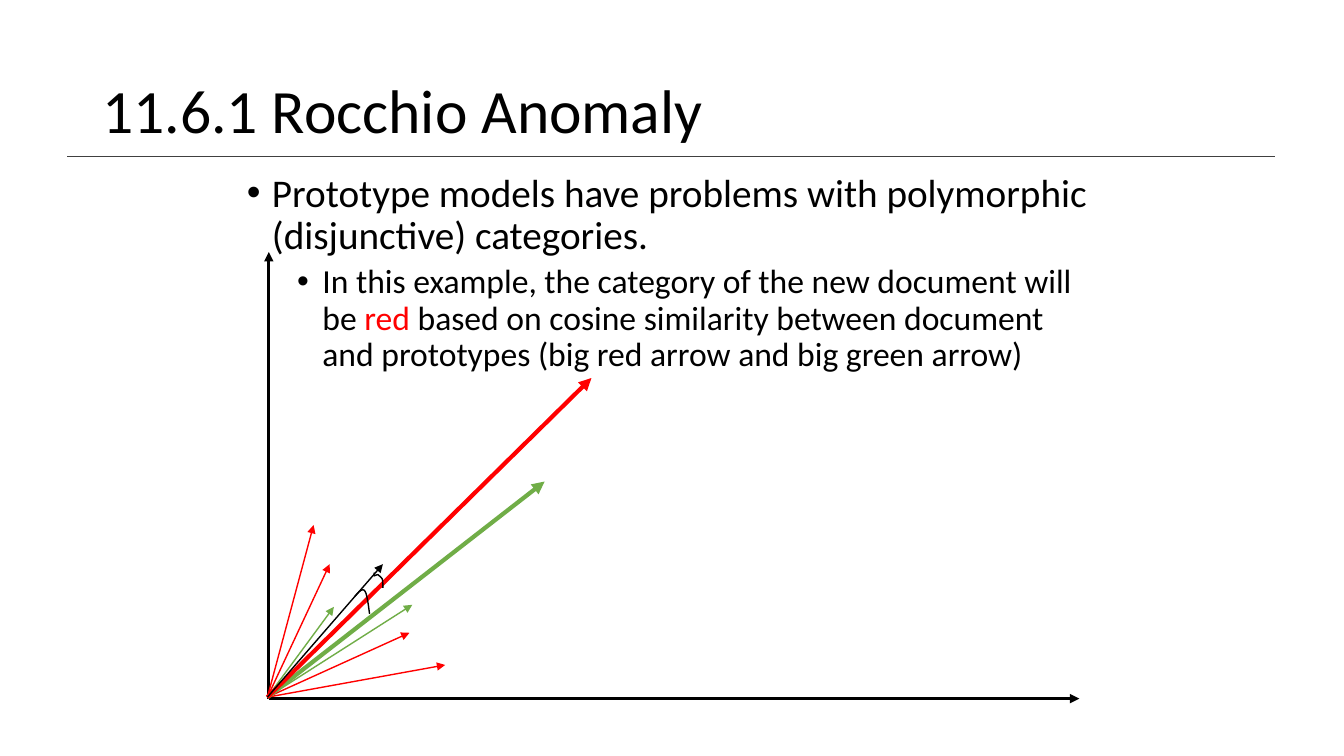
from lxml import etree
from pptx import Presentation
from pptx.dml.color import RGBColor
from pptx.enum.shapes import MSO_CONNECTOR
from pptx.enum.text import MSO_ANCHOR
from pptx.oxml.ns import qn
from pptx.util import Pt

COLORS = {"black": "000000", "red": "FF0000", "green": "70AD47", "rule": "404040"}
FONT = "Calibri"

# Tips are offsets in points from the origin of the diagram.
VECTORS = [
    ("red", 1, (33, -123)),
    ("red", 1, (44.5, -95)),
    ("green", 1, (47.5, -64.5)),
    ("green", 1, (103.5, -66)),
    ("red", 1, (101.5, -46)),
    ("red", 1, (127, -23)),
    ("green", 3, (198, -154)),
    ("red", 3, (231.5, -228)),
]
NEW_DOCUMENT = (82.5, -95)

# Each angle mark: a start, then cubic segments of two controls and an end.
ANGLE_MARKS = [
    ((62.5, -72), [((65.5, -75.5), (68, -78), (69.5, -76)),
                   ((71, -74.5), (72, -67.5), (73, -59.5))]),
    ((76.5, -89), [((76.5, -89), (76, -87), (76, -87)),
                   ((76, -86), (77.5, -87.5), (79, -87.5)),
                   ((79.5, -87), (81, -86), (82, -84.5)),
                   ((82.5, -83.5), (82.5, -81), (82.5, -78))]),
]

BULLETS = [
    dict(size=28, indent=18, before=10,
         runs=[("Prototype models have problems with polymorphic (disjunctive) categories.", "black")]),
    dict(size=24, indent=54, before=5,
         runs=[("In this example, the category of the new document will be ", "black"),
               ("red", "red"),
               (" based on cosine similarity between document and prototypes "
                "(big red arrow and big green arrow)", "black")]),
]


def rgb(name):
    return RGBColor.from_string(COLORS[name])


def add_line(slide, start, end, color, width, arrow=False):
    line = slide.shapes.add_connector(MSO_CONNECTOR.STRAIGHT, *map(Pt, (*start, *end)))
    line.line.color.rgb = rgb(color)
    line.line.width = Pt(width)
    if arrow:
        etree.SubElement(line.line._get_or_add_ln(), qn("a:tailEnd"), type="triangle")
    etree.SubElement(line._element.spPr, qn("a:effectLst"))


def add_text_frame(slide, box, anchor):
    frame = slide.shapes.add_textbox(*map(Pt, box)).text_frame
    frame.word_wrap = True
    frame.vertical_anchor = anchor
    return frame


def add_run(paragraph, text, size, color):
    run = paragraph.add_run()
    run.text = text
    for name, value in {"name": FONT, "size": Pt(size)}.items():
        setattr(run.font, name, value)
    run.font.color.rgb = rgb(color)


def add_title(slide, box):
    paragraph = add_text_frame(slide, box, MSO_ANCHOR.MIDDLE).paragraphs[0]
    paragraph.line_spacing = 0.9
    add_run(paragraph, "11.6.1 Rocchio Anomaly", 44, "black")


def add_bullets(slide, box):
    frame = add_text_frame(slide, box, MSO_ANCHOR.TOP)
    for level, bullet in enumerate(BULLETS):
        paragraph = frame.add_paragraph() if level else frame.paragraphs[0]
        spacing = {"level": level, "line_spacing": 0.9, "space_before": Pt(bullet["before"])}
        for name, value in spacing.items():
            setattr(paragraph, name, value)
        properties = paragraph._p.get_or_add_pPr()
        properties.set("marL", str(Pt(bullet["indent"])))
        properties.set("indent", str(Pt(-18)))
        etree.SubElement(properties, qn("a:buFont"), typeface="Arial")
        etree.SubElement(properties, qn("a:buChar"), char="•")
        for text, color in bullet["runs"]:
            add_run(paragraph, text, bullet["size"], color)


def curve_points(start, segments, steps=8):
    """Return points along a chain of cubic Bézier segments."""
    points = [start]
    for first, second, end in segments:
        begin = points[-1]
        for step in range(1, steps + 1):
            t = step / steps
            weights = ((1 - t) ** 3, 3 * t * (1 - t) ** 2, 3 * t * t * (1 - t), t ** 3)
            controls = zip(begin, first, second, end)
            points.append(tuple(sum(w * c for w, c in zip(weights, axis)) for axis in controls))
    return points


def add_vector_diagram(slide, box):
    left, top, width, height = box
    origin = (left, top + height)

    def from_origin(offset):
        return origin[0] + offset[0], origin[1] + offset[1]

    corner = from_origin((1, 1))
    for axis_end in ((corner[0], top), (left + width, corner[1])):
        add_line(slide, corner, axis_end, "black", 2.25, arrow=True)
    for color, weight, tip in VECTORS:
        add_line(slide, origin, from_origin(tip), color, weight, arrow=True)
    for start, segments in ANGLE_MARKS:
        points = [tuple(map(Pt, from_origin(p))) for p in curve_points(start, segments)]
        builder = slide.shapes.build_freeform(*points[0])
        builder.add_line_segments(points[1:], close=False)
        mark = builder.convert_to_shape()
        mark.shadow.inherit = False
        mark.fill.background()
        mark.line.color.rgb = rgb("black")
        mark.line.width = Pt(1)
    add_line(slide, origin, from_origin(NEW_DOCUMENT), "black", 1, arrow=True)


def main():
    deck = Presentation()
    deck.slide_width, deck.slide_height = Pt(960), Pt(540)
    slide = deck.slides.add_slide(deck.slide_layouts[6])
    add_line(slide, (48, 111.6), (911, 111.6), "rule", 1)
    add_title(slide, (66, 28.8, 828, 104.4))
    add_bullets(slide, (169.2, 120.2, 620.6, 365.8))
    add_vector_diagram(slide, (191, 180, 580, 318))
    deck.save("out.pptx")


if __name__ == "__main__":
    main()
